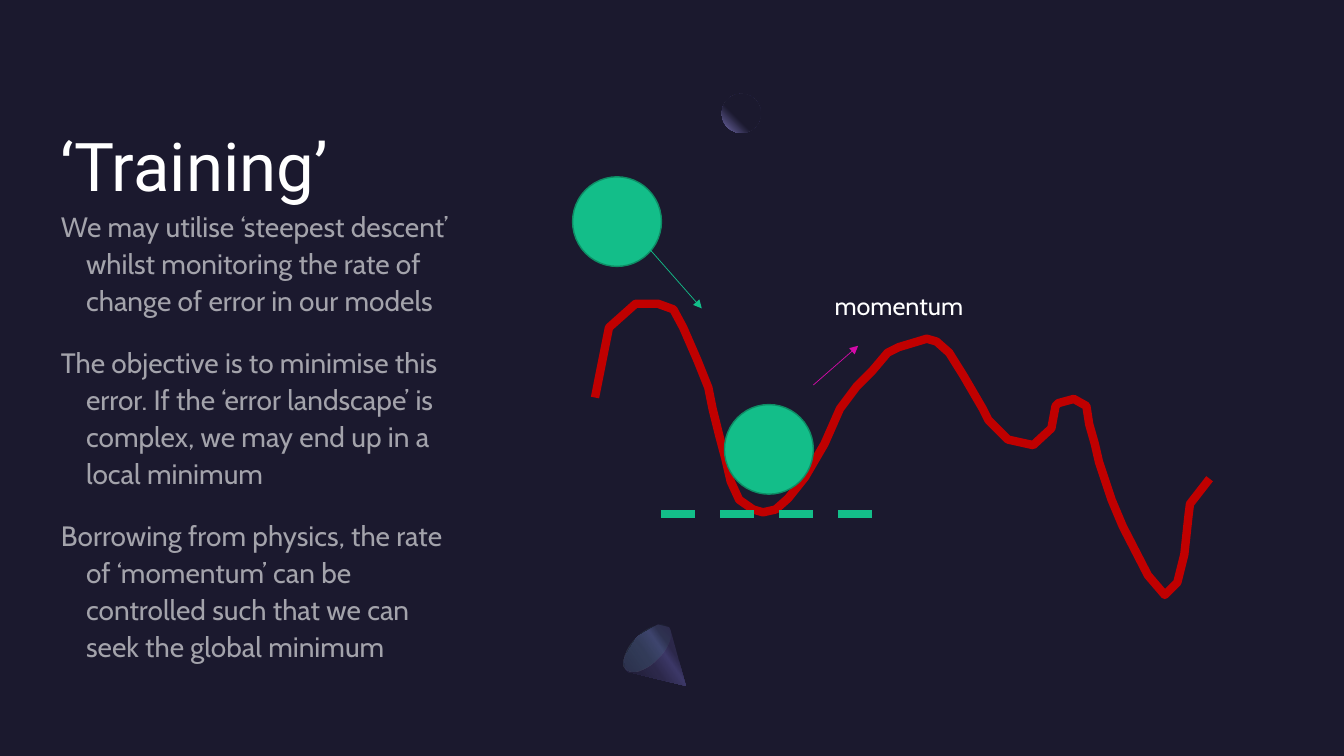
import pptx
import pptx.util
import pptx.dml.color
import pptx.oxml
import pptx.oxml.ns
import pptx.enum.dml
import pptx.enum.shapes
import pptx.enum.text
import lxml.etree

Pt = pptx.util.Pt
RGB = pptx.dml.color.RGBColor.from_string
OVAL = pptx.enum.shapes.MSO_SHAPE.OVAL
WIRE = pptx.enum.shapes.MSO_CONNECTOR.STRAIGHT
DASH = pptx.enum.dml.MSO_LINE.DASH
ANCHOR = pptx.enum.text.MSO_ANCHOR
LEFT = pptx.enum.text.PP_ALIGN.LEFT
FIT = pptx.enum.text.MSO_AUTO_SIZE
NS = "http://schemas.openxmlformats.org/drawingml/2006/main"

TITLE = "‘Training’"
BODY = [
    "We may utilise ‘steepest descent’ whilst monitoring the rate of change of error in our models",
    "The objective is to minimise this error. If the ‘error landscape’ is complex, we may end up in a local minimum",
    "Borrowing from physics, the rate of ‘momentum’ can be controlled such that we can seek the global minimum",
]
LABEL = "momentum"

THEME = {
    "back": "1B192E", "text": "FFFFFF", "ball": "13BE89", "rim": "0E8D65",
    "curve": "C00000", "push": "D40AA8",
    "head": ("Roboto", 48), "body": ("Cabin", 20), "note": ("Cabin", 18),
    "moon": [(60, "1B192E", 100), (100, "7771B2", 100)],
    "cone": [(30, "2C284A", 100), (40, "3C3867", 100),
             (60, "2C284A", 100), (100, "1B192E", 100)],
    "lid": [(0, "454075", 33), (100, "5BEFC1", 0)],
}

KNOTS = [
    (425, 284), (435, 234), (454, 217), (470, 217), (481, 221),
    (487.5, 234), (498, 257), (505.5, 277), (509, 292), (513.5, 312.5),
    (517.5, 327), (521.5, 344), (528, 357), (538, 364.5), (545, 366.5),
    (554.5, 363.5), (563, 355.5), (575, 341), (589, 317), (600, 292),
    (611.5, 276), (623, 265), (633.5, 252), (641.5, 247.5), (661.5, 242.5),
    (669, 244), (677.5, 252.5), (688, 268), (701.5, 291.5), (705.5, 300),
    (720, 314), (738.5, 317.5), (751, 306), (754, 290), (756, 287.5),
    (767, 285), (776, 290), (778.5, 303), (782, 317), (785, 330),
    (793.5, 357), (801.5, 376.5), (819.5, 411), (832.5, 425), (841, 416),
    (845.5, 396), (849, 368), (850.5, 360.5), (863.5, 341.5),
]
CONE = [(490, 490), (449, 479.5), (447, 478), (446, 470), (455, 455),
        (470, 446), (477.5, 448), (479, 450)]
MOON = (515.5, 67, 28, 28)
LID = (451.5, 441.5, 21.5, 42.5)
BALLS = [(409, 126.3, 63.5, 64), (517.5, 289, 63.5, 64)]
LINES = [
    ((464.5, 178.5, 501.3, 220.3), "ball", 0.5, True),
    ((472.3, 367, 623.8, 367), "ball", 6, False),
    ((581, 275, 613, 247), "push", 0.5, True),
]
HEAD = (43.5, 43.5, 280.8, 103.7)
TEXT = (43.5, 147.2, 280.8, 332.6)
NOTE = (589, 204, 137.5, 41)
FLUSH = dict.fromkeys(
    ("margin_left", "margin_top", "margin_right", "margin_bottom"), 0)


def put(obj, vals):
    for key, val in vals.items():
        setattr(obj, key, val)


def node(top, tag, **vals):
    return lxml.etree.SubElement(top, f"{{{NS}}}{tag}", vals)


def box(vals):
    return [Pt(v) for v in vals]


def blend(shape, stops, ang=None):
    shape.fill.gradient()
    old = shape.element.spPr.find(pptx.oxml.ns.qn("a:gradFill"))
    for kid in list(old):
        old.remove(kid)
    row = node(old, "gsLst")
    for pos, tone, alpha in stops:
        stop = node(row, "gs", pos=str(pos * 1000))
        paint = node(stop, "srgbClr", val=tone)
        if alpha < 100:
            node(paint, "alpha", val=str(alpha * 1000))
    if ang is None:
        way = node(old, "path", path="circle")
        node(way, "fillToRect", l="100000", b="100000")
    else:
        node(old, "lin", ang=str(ang * 60000), scaled="0")
    shape.line.fill.background()
    shape.shadow.inherit = False


def trace(shapes, pts, close):
    pen = shapes.build_freeform(*pts[0], scale=Pt(1))
    pen.add_line_segments(pts[1:], close=close)
    shape = pen.convert_to_shape()
    shape.shadow.inherit = False
    return shape


def stroke(line, tone, width):
    line.color.rgb = RGB(THEME[tone])
    line.width = Pt(width)


def write(shape, rows, style, frame, para, alpha=100):
    name, size = THEME[style]
    area = shape.text_frame
    put(area, {"word_wrap": True, "auto_size": FIT.NONE, **frame})
    for i, row in enumerate(rows):
        par = area.add_paragraph() if i else area.paragraphs[0]
        put(par, {"alignment": LEFT, **para})
        run = par.add_run()
        run.text = row
        put(run.font, {"name": name, "size": Pt(size)})
        run.font.color.rgb = RGB(THEME["text"])
        if alpha < 100:
            tone = run.font.fill._xPr.find(".//" + pptx.oxml.ns.qn("a:srgbClr"))
            node(tone, "alpha", val=str(alpha * 1000))
    return area


def main():
    deck = pptx.Presentation()
    put(deck, {"slide_width": Pt(960), "slide_height": Pt(540)})
    slide = deck.slides.add_slide(deck.slide_layouts[5])
    slide.background.fill.solid()
    slide.background.fill.fore_color.rgb = RGB(THEME["back"])
    shapes = slide.shapes

    blend(shapes.add_shape(OVAL, *box(MOON)), THEME["moon"])
    blend(trace(shapes, CONE, True), THEME["cone"], 145)
    lid = shapes.add_shape(OVAL, *box(LID))
    lid.rotation = 225
    blend(lid, THEME["lid"], 90)

    title = shapes.title
    put(title, dict(zip(("left", "top", "width", "height"), box(HEAD))))
    write(title, [TITLE], "head",
          {"vertical_anchor": ANCHOR.BOTTOM, **FLUSH},
          {"line_spacing": 0.9})
    body = write(shapes.add_textbox(*box(TEXT)), BODY, "body", FLUSH,
                 {"line_spacing": 1.1, "space_before": Pt(10),
                  "space_after": Pt(8)}, 60)
    for par in body.paragraphs:
        hang = par._p.get_or_add_pPr()
        hang.set("marL", str(Pt(18)))
        hang.set("indent", str(Pt(-18)))

    curve = trace(shapes, KNOTS, False)
    curve.fill.background()
    stroke(curve.line, "curve", 6)
    node(curve.line._get_or_add_ln(), "round")
    for spot in BALLS:
        ball = shapes.add_shape(OVAL, *box(spot))
        ball.shadow.inherit = False
        ball.fill.solid()
        ball.fill.fore_color.rgb = RGB(THEME["ball"])
        stroke(ball.line, "rim", 1)
    for ends, tone, width, arrow in LINES:
        wire = shapes.add_connector(WIRE, *box(ends))
        stroke(wire.line, tone, width)
        if arrow:
            node(wire.line._get_or_add_ln(), "tailEnd", type="triangle")
        else:
            wire.line.dash_style = DASH
        node(wire.element.spPr, "effectLst")
    write(shapes.add_textbox(*box(NOTE)), [LABEL], "note", {}, {})
    deck.save("out.pptx")


if __name__ == "__main__":
    main()
